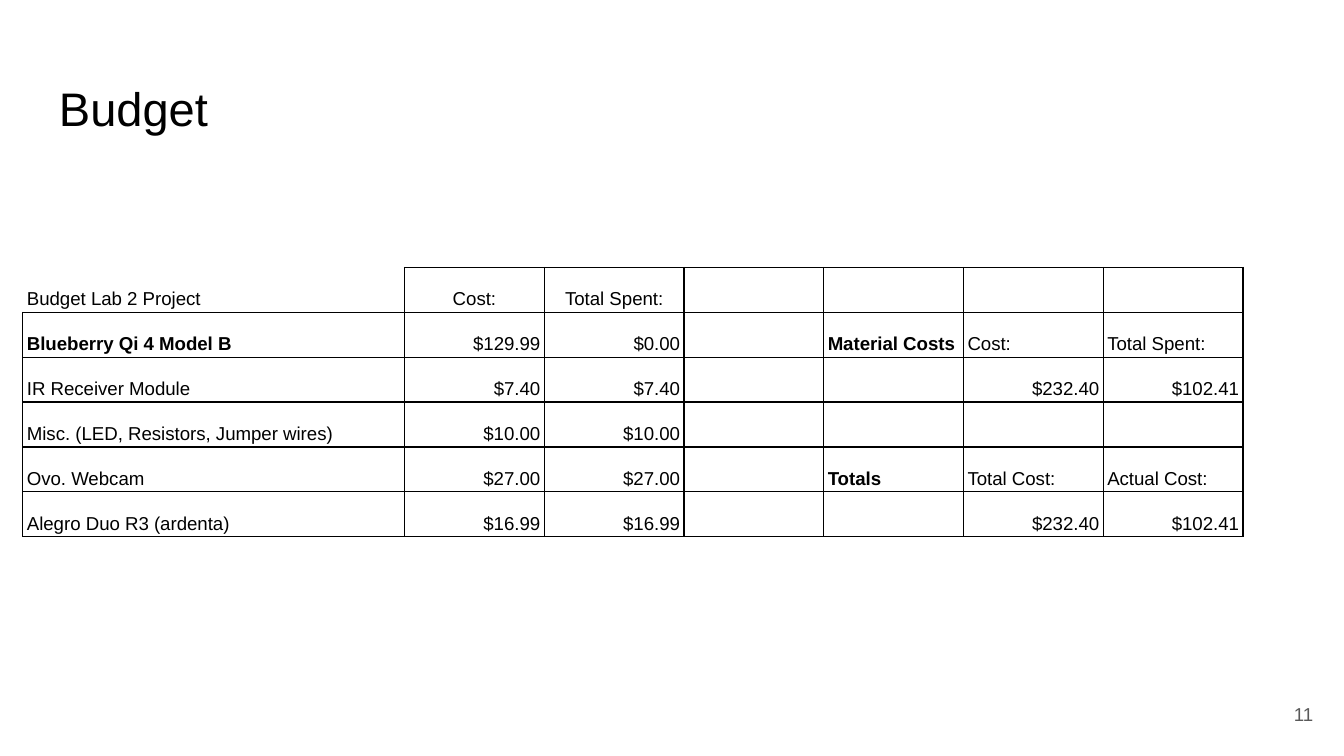
from dataclasses import dataclass

from lxml.etree import SubElement
from pptx import Presentation
from pptx.dml.color import RGBColor
from pptx.enum.text import MSO_ANCHOR as Anchor, PP_ALIGN as Align
from pptx.oxml.ns import qn
from pptx.slide import Slide
from pptx.table import _Cell as Cell
from pptx.text.text import _Paragraph as Paragraph
from pptx.util import Inches, Pt

BLACK = RGBColor(0x00, 0x00, 0x00)
GRAY = RGBColor(0x59, 0x59, 0x59)
FONT = "Arial"
BODY_SIZE = 10
EMPTY_SIZE = 14
BORDER_WIDTH = Pt(0.75)
SIDES = ("L", "R", "T", "B")

SLIDE_WIDTH = Inches(10)
SLIDE_HEIGHT = SLIDE_WIDTH * 9 // 16
TABLE_LEFT, TABLE_TOP = Inches(0.17), Inches(1.99)
ITEM_WIDTH, VALUE_WIDTH, ROW_HEIGHT = Inches(2.84), Inches(1.04), Inches(0.22)


@dataclass(frozen=True)
class Label:
    text: str
    left: float
    top: float
    width: float
    height: float
    size: float
    color: RGBColor = BLACK
    align: Align = Align.LEFT
    anchor: Anchor = Anchor.TOP


@dataclass(frozen=True)
class Entry:
    text: str = ""
    align: Align = Align.LEFT
    bold: bool = False


LABELS = (
    Label("Budget", 0.34, 0.49, 9.32, 0.63, 25.2),
    Label("11", 9.27, 5.1, 0.6, 0.43, BODY_SIZE, GRAY, Align.RIGHT, Anchor.MIDDLE),
)


def amount(value: float) -> Entry:
    return Entry(f"${value:.2f}", Align.RIGHT)


def heading(text: str) -> Entry:
    return Entry(text, bold=True)


def centered(text: str) -> Entry:
    return Entry(text, Align.CENTER)


EMPTY = Entry()
BUDGET = (
    (Entry("Budget Lab 2 Project"), centered("Cost:"), centered("Total Spent:"),
     EMPTY, EMPTY, EMPTY, EMPTY),
    (heading("Blueberry Qi 4 Model B"), amount(129.99), amount(0),
     EMPTY, heading("Material Costs"), Entry("Cost:"), Entry("Total Spent:")),
    (Entry("IR Receiver Module"), amount(7.40), amount(7.40),
     EMPTY, EMPTY, amount(232.40), amount(102.41)),
    (Entry("Misc. (LED, Resistors, Jumper wires)"), amount(10), amount(10),
     EMPTY, EMPTY, EMPTY, EMPTY),
    (Entry("Ovo. Webcam"), amount(27), amount(27),
     EMPTY, heading("Totals"), Entry("Total Cost:"), Entry("Actual Cost:")),
    (Entry("Alegro Duo R3 (ardenta)"), amount(16.99), amount(16.99),
     EMPTY, EMPTY, amount(232.40), amount(102.41)),
)


def add_run(paragraph: Paragraph, text: str, size: float, color: RGBColor,
            bold: bool = False) -> None:
    run = paragraph.add_run()
    run.text = text
    run.font.name = FONT
    run.font.size = Pt(size)
    run.font.bold = bold
    run.font.color.rgb = color


def add_label(slide: Slide, label: Label) -> None:
    box = slide.shapes.add_textbox(Inches(label.left), Inches(label.top),
                                   Inches(label.width), Inches(label.height))
    frame = box.text_frame
    frame.word_wrap = True
    frame.vertical_anchor = label.anchor
    frame.margin_left = frame.margin_right = Inches(0.1)
    frame.margin_top = frame.margin_bottom = Inches(0.1)
    paragraph = frame.paragraphs[0]
    paragraph.alignment = label.align
    add_run(paragraph, label.text, label.size, label.color)


def set_borders(cell: Cell, visible: tuple[str, ...]) -> None:
    """Draw the visible sides and clear the rest; call before filling the cell."""
    properties = cell._tc.get_or_add_tcPr()
    for side in SIDES:
        line = SubElement(properties, qn(f"a:ln{side}"), w=str(BORDER_WIDTH))
        if side in visible:
            fill = SubElement(line, qn("a:solidFill"))
            SubElement(fill, qn("a:srgbClr"), val=str(BLACK))
        else:
            SubElement(line, qn("a:noFill"))


def fill_cell(cell: Cell, entry: Entry, borders: tuple[str, ...]) -> None:
    """Style a cell; the empty ones are taller and so set the drawn row height."""
    set_borders(cell, borders)
    cell.fill.background()
    paragraph = cell.text_frame.paragraphs[0]
    if not entry.text:
        SubElement(paragraph._p, qn("a:endParaRPr"), sz=str(EMPTY_SIZE * 100))
        return
    cell.vertical_anchor = Anchor.BOTTOM
    cell.margin_left = cell.margin_right = Inches(0.03)
    cell.margin_top = cell.margin_bottom = Inches(0.02)
    paragraph.alignment = entry.align
    paragraph.line_spacing = 1.15
    add_run(paragraph, entry.text, BODY_SIZE, BLACK, entry.bold)


def add_budget_table(slide: Slide) -> None:
    row_count, column_count = len(BUDGET), len(BUDGET[0])
    table = slide.shapes.add_table(
        row_count, column_count, TABLE_LEFT, TABLE_TOP,
        ITEM_WIDTH + (column_count - 1) * VALUE_WIDTH, row_count * ROW_HEIGHT).table
    table.first_row = table.horz_banding = False
    for index, column in enumerate(table.columns):
        column.width = VALUE_WIDTH if index else ITEM_WIDTH
    for row_index, entries in enumerate(BUDGET):
        table.rows[row_index].height = ROW_HEIGHT
        for column_index, entry in enumerate(entries):
            is_corner = row_index == column_index == 0
            fill_cell(table.cell(row_index, column_index), entry,
                      ("R", "B") if is_corner else SIDES)


def main() -> None:
    presentation = Presentation()
    presentation.slide_width, presentation.slide_height = SLIDE_WIDTH, SLIDE_HEIGHT
    slide = presentation.slides.add_slide(presentation.slide_layouts[6])
    for label in LABELS:
        add_label(slide, label)
    add_budget_table(slide)
    presentation.save("out.pptx")


if __name__ == "__main__":
    main()
